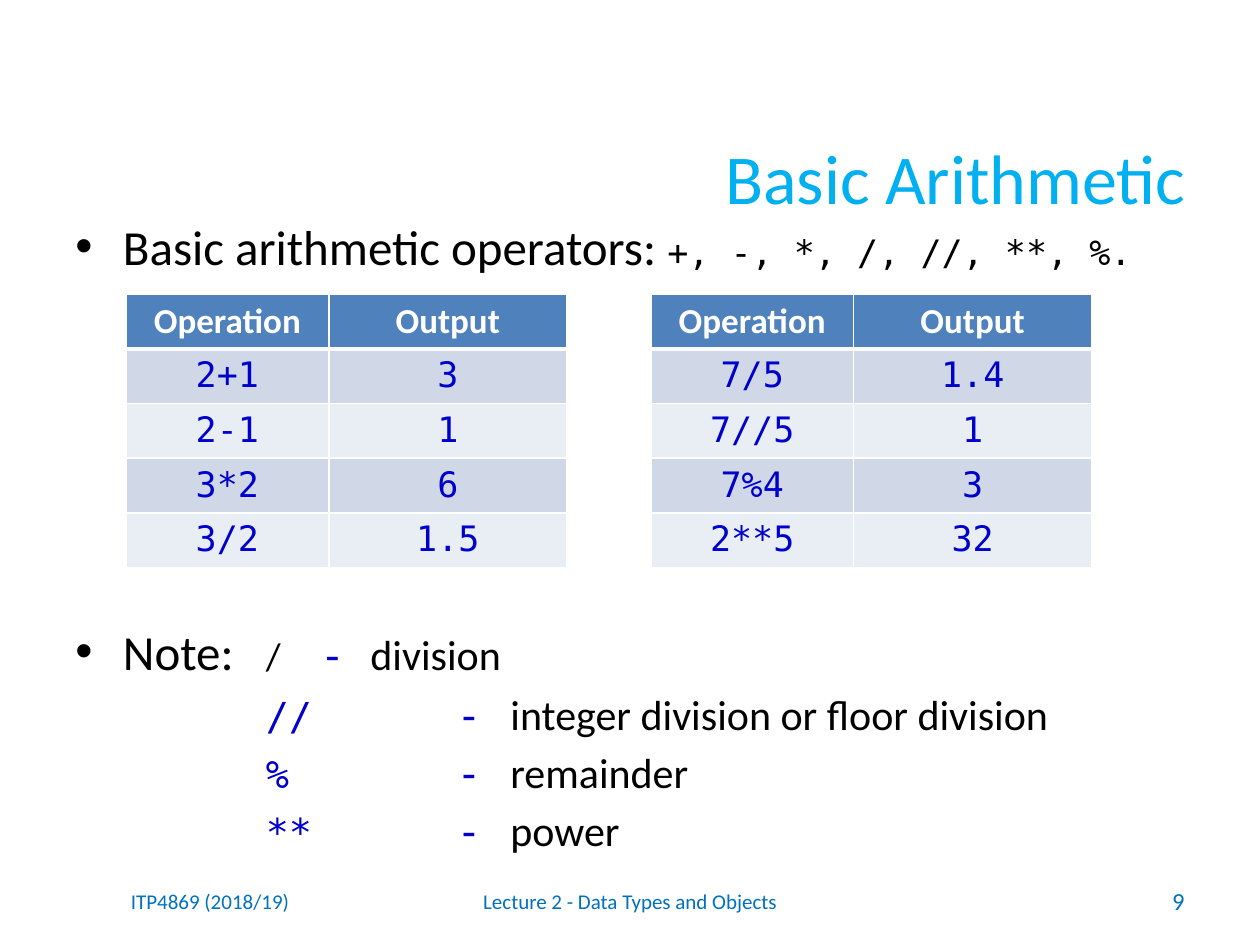
import pptx
import pptx.util
import pptx.dml.color
import pptx.enum.text
import pptx.oxml
import pptx.oxml.ns
from pptx.util import Cm, Pt

COLOURS = {
    "title": "00B0F0",
    "text": "000000",
    "code": "0000CC",
    "footer": "0070C0",
    "header": "4F81BD",
    "odd": "D0D8E8",
    "even": "E9EDF4",
    "white": "FFFFFF",
}
SANS = "Calibri"
MONO = "DejaVu Sans Mono"
ALIGN = pptx.enum.text.PP_ALIGN
ANCHOR = pptx.enum.text.MSO_ANCHOR


def element(xml):
    return pptx.oxml.parse_xml(xml.replace(" ", f" {pptx.oxml.ns.nsdecls('a')} ", 1))


def set_font(font, size, colour, face=SANS, bold=False):
    font.size = Pt(size)
    font.name = face
    font.bold = bold
    font.color.rgb = pptx.dml.color.RGBColor.from_string(COLOURS[colour])


def add_box(page, box, anchor=ANCHOR.TOP):
    frame = page.shapes.add_textbox(*(Cm(length) for length in box)).text_frame
    frame.word_wrap = True
    frame.vertical_anchor = anchor
    return frame


def add_line(page, box, text, align, size, colour):
    para = add_box(page, box, ANCHOR.MIDDLE).paragraphs[0]
    para.text = text
    para.alignment = align
    set_font(para.font, size, colour)


def add_spans(para, spans):
    for text, *style in spans:
        span = para.add_run()
        span.text = text
        set_font(span.font, *style)


def format_bullet(para, tabs=()):
    para.space_before = Pt(5.6)
    props = para._p.get_or_add_pPr()
    props.set("marL", str(Cm(0.96)))
    props.set("indent", str(Cm(-0.96)))
    props.append(element('<a:buFont typeface="Arial"/>'))
    props.append(element('<a:buChar char="•"/>'))
    if tabs:
        stops = "".join(f'<a:tab pos="{Cm(stop)}" algn="l"/>' for stop in tabs)
        props.append(element(f"<a:tabLst >{stops}</a:tabLst>"))


def add_operators(page, box):
    para = add_box(page, box).paragraphs[0]
    format_bullet(para)
    add_spans(para, [
        ("Basic arithmetic operators: ", 28, "text"),
        ("+, -, *, /, //, **, %.", 20, "text", MONO),
    ])


def add_notes(page, box, notes):
    frame = add_box(page, box)
    para = frame.paragraphs[0]
    format_bullet(para, (3.84, 4.93, 6.02))
    add_spans(para, [
        ("Note:\t", 28, "text"),
        ("/", 22, "text"),
        ("\t", 24, "text"),
        ("- ", 24, "code", MONO),
        ("division", 24, "text"),
    ])
    for operator, meaning in notes:
        para = frame.add_paragraph()
        para.space_before = Pt(4.5)
        para._p.get_or_add_pPr().set("marL", str(Cm(3.84)))
        add_spans(para, [
            (operator, 22, "code", MONO),
            ("\t-\t", 24, "code", MONO),
            (meaning, 24, "text"),
        ])


def set_borders(cell, bottom):
    props = cell._tc.get_or_add_tcPr()
    for place, (side, width) in enumerate(zip("LRTB", (1, 1, 1, bottom))):
        props.insert(place, element(
            f'<a:ln{side} w="{Pt(width)}"><a:solidFill>'
            f'<a:srgbClr val="{COLOURS["white"]}"/></a:solidFill></a:ln{side}>'))


def add_operation_table(page, box, rows):
    left, top, width, height = box
    rows = [("Operation", "Output"), *rows]
    table = page.shapes.add_table(
        len(rows), 2, Cm(left), Cm(top), Cm(width), Cm(height)).table
    for column, share in zip(table.columns, (0.46, 0.54)):
        column.width = Cm(width * share)
    for index, values in enumerate(rows):
        is_header = index == 0
        fill = "header" if is_header else ("even", "odd")[index % 2]
        for cell, value in zip(table.rows[index].cells, values):
            cell.fill.solid()
            cell.fill.fore_color.rgb = pptx.dml.color.RGBColor.from_string(COLOURS[fill])
            set_borders(cell, 3 if is_header else 1)
            para = cell.text_frame.paragraphs[0]
            para.text = value
            para.alignment = ALIGN.CENTER
            if is_header:
                set_font(para.font, 20, "white", bold=True)
            else:
                set_font(para.font, 20, "code", MONO)


def add_footer(page, box):
    left, top, width, height = box
    side = 5.93
    add_line(page, (left, top, side, height), "ITP4869 (2018/19)",
             ALIGN.CENTER, 12, "footer")
    add_line(page, (left + 7.41, top, 8.05, height),
             "Lecture 2 - Data Types and Objects", ALIGN.CENTER, 12, "footer")
    add_line(page, (left + width - side, top, side, height), "9",
             ALIGN.RIGHT, 14, "footer")


def main():
    deck = pptx.Presentation()
    deck.slide_width, deck.slide_height = Cm(25.4), Cm(19.05)
    page = deck.slides.add_slide(deck.slide_layouts[6])
    add_line(page, (1.24, 2.18, 22.91, 2.74), "Basic Arithmetic",
             ALIGN.RIGHT, 40, "title")
    add_operators(page, (1.27, 4.24, 23.29, 1.6))
    tables = [
        [("2+1", "3"), ("2-1", "1"), ("3*2", "6"), ("3/2", "1.5")],
        [("7/5", "1.4"), ("7//5", "1"), ("7%4", "3"), ("2**5", "32")],
    ]
    for index, rows in enumerate(tables):
        add_operation_table(page, (2.54 + index * 10.58, 5.93, 8.89, 5.4), rows)
    add_notes(page, (1.27, 12.4, 23.29, 5.18), [
        ("//", "integer division or floor division"),
        ("%", "remainder"),
        ("**", "power"),
    ])
    add_footer(page, (1.27, 17.65, 22.86, 1.02))
    deck.save("out.pptx")


if __name__ == "__main__":
    main()
